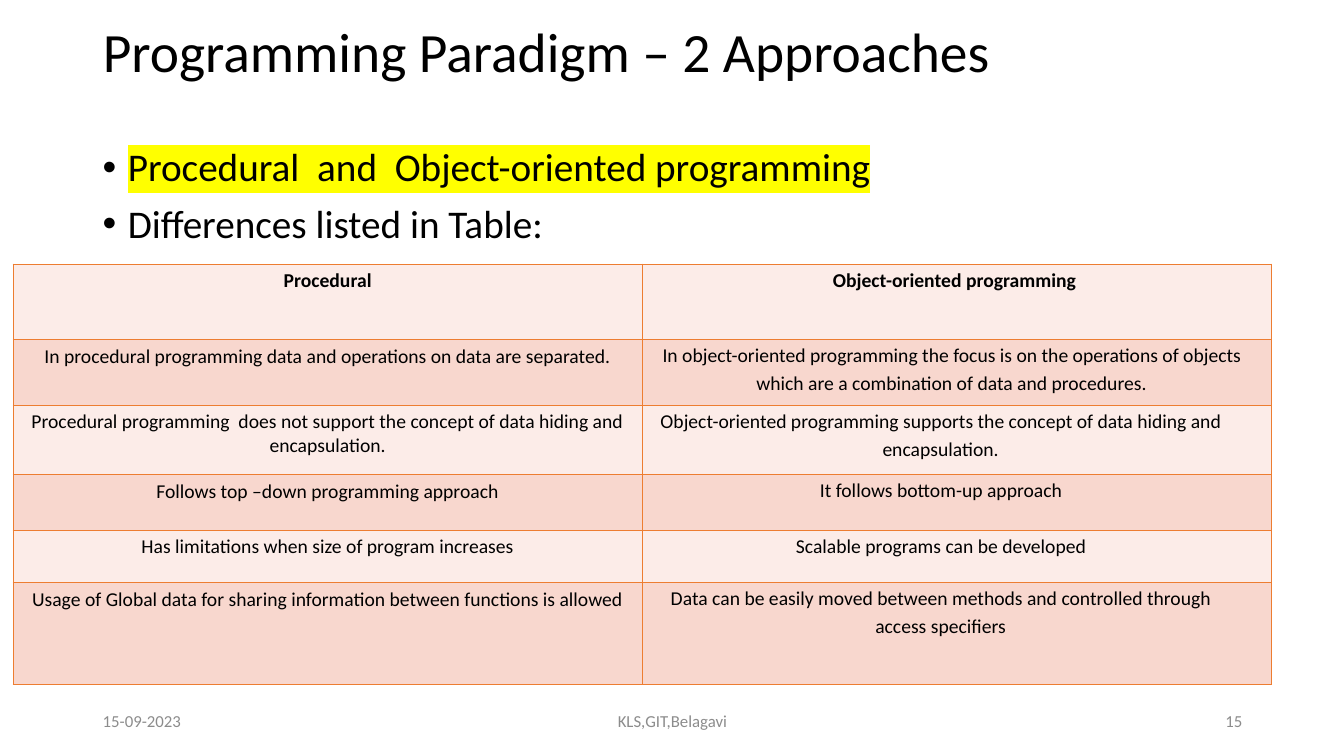
import pptx
import pptx.util
import pptx.dml.color
import pptx.enum.text
import pptx.oxml
import pptx.oxml.ns
from pptx.util import Inches

RGBColor = pptx.dml.color.RGBColor
ALIGN = pptx.enum.text.PP_ALIGN
ANCHOR = pptx.enum.text.MSO_ANCHOR

BLACK = RGBColor(0x00, 0x00, 0x00)
GREY = RGBColor(0x8C, 0x8C, 0x8C)
YELLOW = RGBColor(0xFF, 0xFF, 0x00)
ORANGE = RGBColor(0xED, 0x7D, 0x31)
BANDS = (RGBColor(0xFC, 0xEC, 0xE8), RGBColor(0xF8, 0xD7, 0xCE))

FONT = "Calibri"
ROW_HEIGHTS = (0.75, 0.65, 0.69, 0.55, 0.52, 1.01)
COMPARISON = (
    ("Procedural", "Object-oriented programming "),
    ("In procedural programming data and operations on data are separated.",
     "In object-oriented programming the focus is on the operations of objects "
     "which are a combination of data and procedures."),
    ("Procedural programming  does not support the concept of data hiding and encapsulation.",
     "Object-oriented programming supports the concept of data hiding and encapsulation."),
    ("Follows top –down programming approach", "It follows bottom-up approach"),
    ("Has limitations when size of program increases", "Scalable programs can be developed"),
    ("Usage of Global data for sharing information between functions is allowed",
     "Data can be easily moved between methods and controlled through access specifiers"),
)
FOOTERS = (
    (0.92, 3, "15-09-2023", ALIGN.LEFT),
    (4.42, 4.5, "KLS,GIT,Belagavi", ALIGN.CENTER),
    (9.42, 3, "15", ALIGN.RIGHT),
)


def apply(target, values):
    for name, value in values.items():
        setattr(target, name, value)


def xml(markup):
    return pptx.oxml.parse_xml(markup.replace(" ", f" {pptx.oxml.ns.nsdecls('a')} ", 1))


def write(para, text, size, color=BLACK, bold=False, **layout):
    para.text = text
    apply(para, layout)
    for span in para.runs:
        apply(span.font, {"name": FONT, "size": pptx.util.Pt(size), "bold": bold})
        span.font.color.rgb = color


def add_text_box(page, left, top, width, height, anchor):
    box = page.shapes.add_textbox(Inches(left), Inches(top), Inches(width), Inches(height))
    apply(box.text_frame, {"word_wrap": True, "vertical_anchor": anchor})
    return box.text_frame


def add_title(page, text):
    title = page.shapes.title
    apply(title, {"left": Inches(0.92), "top": Inches(0.4),
                  "width": Inches(11.5), "height": Inches(1.02)})
    apply(title.text_frame, {"vertical_anchor": ANCHOR.MIDDLE, "word_wrap": True,
                             "auto_size": pptx.enum.text.MSO_AUTO_SIZE.NONE})
    write(title.text_frame.paragraphs[0], text, 39.6, alignment=ALIGN.LEFT, line_spacing=0.9)


def add_bullet(para, text):
    write(para, text, 28, line_spacing=0.9, space_before=pptx.util.Pt(10))
    properties = para._p.get_or_add_pPr()
    properties.set("marL", str(Inches(0.25)))
    properties.set("indent", str(Inches(-0.25)))
    properties.append(xml('<a:buFont typeface="Arial"/>'))
    properties.append(xml('<a:buChar char="•"/>'))


def highlight(span, color):
    fill = span.font._element.find(pptx.oxml.ns.qn("a:solidFill"))
    fill.addnext(xml(f'<a:highlight ><a:srgbClr val="{color}"/></a:highlight>'))


def add_borders(cell):
    properties = cell._tc.get_or_add_tcPr()
    for index, side in enumerate("LRTB"):
        properties.insert(index, xml(
            f'<a:ln{side} w="{pptx.util.Pt(1)}"><a:solidFill>'
            f'<a:srgbClr val="{ORANGE}"/></a:solidFill></a:ln{side}>'))


def indent_cell(cell, right):
    """Zero cell margins, with the space set by paragraph indents instead."""
    apply(cell, dict.fromkeys(
        ("margin_left", "margin_right", "margin_top", "margin_bottom"), 0))
    para = cell.text_frame.paragraphs[0]
    apply(para, {"line_spacing": 1.18, "space_before": pptx.util.Pt(4.2)})
    for name, value in {"marL": 0.11, "marR": right, "indent": 0.01}.items():
        para._p.get_or_add_pPr().set(name, str(Inches(value)))


def add_comparison(page):
    frame = page.shapes.add_table(len(COMPARISON), 2, Inches(0.13), Inches(2.62),
                                  Inches(12.48), Inches(sum(ROW_HEIGHTS)))
    table = frame.table
    for row, (height, texts) in enumerate(zip(ROW_HEIGHTS, COMPARISON)):
        table.rows[row].height = Inches(height)
        for column, text in enumerate(texts):
            cell = table.cell(row, column)
            cell.fill.solid()
            cell.fill.fore_color.rgb = BANDS[row % 2]
            write(cell.text_frame.paragraphs[0], text, 14, bold=row == 0,
                  alignment=ALIGN.CENTER)
            if row and column:
                indent_cell(cell, 0.21 if row == 1 else 0.43)
            add_borders(cell)


def main():
    deck = pptx.Presentation()
    apply(deck, {"slide_width": Inches(13.33), "slide_height": Inches(7.5)})
    page = deck.slides.add_slide(deck.slide_layouts[5])

    # Title; the line break keeps its text in the upper half
    add_title(page, "Programming Paradigm – 2 Approaches\v")

    # Comparison table
    add_comparison(page)

    # Footer
    for left, width, text, alignment in FOOTERS:
        footer = add_text_box(page, left, 6.95, width, 0.4, ANCHOR.MIDDLE)
        write(footer.paragraphs[0], text, 12, GREY, alignment=alignment)

    # Bullets
    body = add_text_box(page, 0.92, 1.42, 11.5, 4.76, ANCHOR.TOP)
    add_bullet(body.paragraphs[0], "Procedural  and  Object-oriented programming")
    highlight(body.paragraphs[0].runs[0], YELLOW)
    add_bullet(body.add_paragraph(), "Differences listed in Table:")

    deck.save("out.pptx")


if __name__ == "__main__":
    main()
